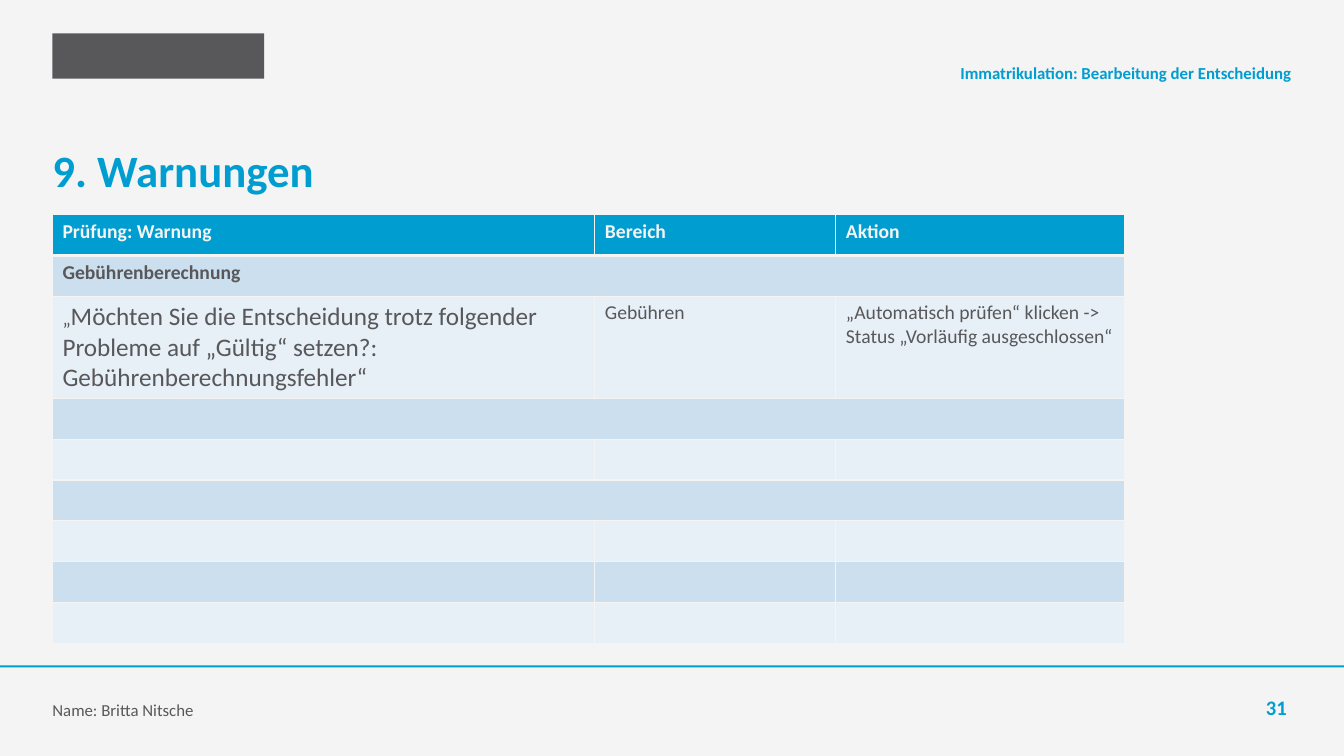
"""Build the slide on warnings with its table of checks, areas and actions."""
from dataclasses import dataclass

from lxml import etree
from pptx import Presentation
from pptx import util as u
from pptx.dml.color import RGBColor
from pptx.enum import shapes, text
from pptx.oxml.ns import qn


@dataclass(frozen=True)
class Theme:
    font: str = "Calibri"
    blue: str = "009DD1"
    grey: str = "58585A"
    paper: str = "F4F4F4"
    dark_band: str = "CCDFEE"
    light_band: str = "E7EFF7"
    title: float = 32
    large: float = 18
    number: float = 14.7
    body: float = 14
    small: float = 12


THEME = Theme()
TITLE = "9. Warnungen"
TOPIC = "Immatrikulation: Bearbeitung der Entscheidung"
AUTHOR = "Name: Britta Nitsche"
PAGE = "31 "
HEADER = ["Prüfung: Warnung", "Bereich", "Aktion"]
SECTION = ["Gebührenberechnung"]
WARNING = [
    [("„", THEME.body),
     ("Möchten Sie die Entscheidung trotz folgender Probleme auf „Gültig“ "
      "setzen?: Gebührenberechnungsfehler“", THEME.large)],
    "Gebühren",
    "„Automatisch prüfen“ klicken -> Status „Vorläufig ausgeschlossen“",
]
SPANNED, SPLIT = [""], ["", "", ""]
ROWS = [HEADER, SECTION, WARNING, SPANNED, SPLIT, SPANNED, SPLIT, SPLIT, SPLIT]

WIDTH, HEIGHT = 13.33, 7.5
MARGIN = 0.52
CONTENT = WIDTH - 2 * MARGIN
WIDE, NARROW, LINE = 7.56, 1.05, 0.39
FOOTER_TOP = 0.9 * HEIGHT
TABLE_TOP = 2.13
COLUMNS = [5.38, 2.39, 2.86]
ROW = 0.054 * HEIGHT
WARNING_ROW = 2.5 * ROW


def colour(code):
    return RGBColor.from_string(code)


def write(frame, content, size=THEME.body, code=THEME.grey, bold=False, align=None):
    """Write a string, or a list of (string, size) runs, into a text frame."""
    paragraph = frame.paragraphs[0]
    paragraph.alignment = align
    runs = [(content, size)] if isinstance(content, str) else content
    for words, points in runs:
        if not words:
            paragraph.font.size = u.Pt(points)
            continue
        run = paragraph.add_run()
        run.text = words
        run.font.name = THEME.font
        run.font.size = u.Pt(points)
        run.font.bold = bold
        run.font.color.rgb = colour(code)


def add_label(slide, box, content, anchor=text.MSO_ANCHOR.BOTTOM, **form):
    frame = slide.shapes.add_textbox(*map(u.Inches, box)).text_frame
    frame.word_wrap = True
    frame.vertical_anchor = anchor
    frame.margin_left = frame.margin_right = frame.margin_top = frame.margin_bottom = 0
    write(frame, content, **form)


def add_block(slide, box, code):
    shape = slide.shapes.add_shape(shapes.MSO_SHAPE.RECTANGLE, *map(u.Inches, box))
    shape.shadow.inherit = False
    shape.fill.solid()
    shape.fill.fore_color.rgb = colour(code)
    shape.line.fill.background()


def style_cell(cell, code, edges):
    properties = cell._tc.get_or_add_tcPr()
    for side, points in edges.items():
        line = etree.SubElement(properties, qn(f"a:ln{side}"), w=str(u.Pt(points)))
        fill = etree.SubElement(line, qn("a:solidFill"))
        etree.SubElement(fill, qn("a:srgbClr"), val=THEME.paper)
    cell.fill.solid()
    cell.fill.fore_color.rgb = colour(code)


def add_warnings(slide):
    table = slide.shapes.add_table(
        len(ROWS), len(COLUMNS), u.Inches(MARGIN), u.Inches(TABLE_TOP),
        u.Inches(sum(COLUMNS)), u.Inches(ROW * len(ROWS))).table
    for column, width in zip(table.columns, COLUMNS):
        column.width = u.Inches(width)
    for index, entries in enumerate(ROWS):
        table.rows[index].height = u.Inches(WARNING_ROW if entries is WARNING else ROW)
        is_header = index == 0
        band = THEME.dark_band if index % 2 else THEME.light_band
        edges = {"L": 1, "R": 1, "T": 3 if index == 1 else 1, "B": 3 if is_header else 1}
        for column in range(len(COLUMNS)):
            style_cell(table.cell(index, column), THEME.blue if is_header else band, edges)
        if len(entries) == 1:
            table.cell(index, 0).merge(table.cell(index, len(COLUMNS) - 1))
        for column, content in enumerate(entries):
            write(table.cell(index, column).text_frame, content, bold=index < 2,
                  code=THEME.paper if is_header else THEME.grey)


def main():
    presentation = Presentation()
    presentation.slide_width, presentation.slide_height = u.Inches(WIDTH), u.Inches(HEIGHT)
    slide = presentation.slides.add_slide(presentation.slide_layouts[6])
    slide.background.fill.solid()
    slide.background.fill.fore_color.rgb = colour(THEME.paper)

    right = MARGIN + CONTENT
    accent = {"code": THEME.blue, "bold": True}
    add_block(slide, (MARGIN, 0.33, 2.1, 0.45), THEME.grey)
    add_block(slide, (0, 0.88 * HEIGHT, WIDTH, 0.02), THEME.blue)
    add_label(slide, (MARGIN, 1.42, CONTENT, 0.63), TITLE,
              anchor=text.MSO_ANCHOR.TOP, size=THEME.title, **accent)
    add_label(slide, (right - WIDE, 0.43, WIDE, LINE), TOPIC,
              size=THEME.small, align=text.PP_ALIGN.RIGHT, **accent)
    add_label(slide, (MARGIN, FOOTER_TOP, WIDE, LINE), AUTHOR, size=THEME.small)
    add_label(slide, (right - NARROW, FOOTER_TOP, NARROW, LINE), PAGE,
              size=THEME.number, align=text.PP_ALIGN.RIGHT, **accent)
    add_warnings(slide)
    presentation.save("out.pptx")


if __name__ == "__main__":
    main()
